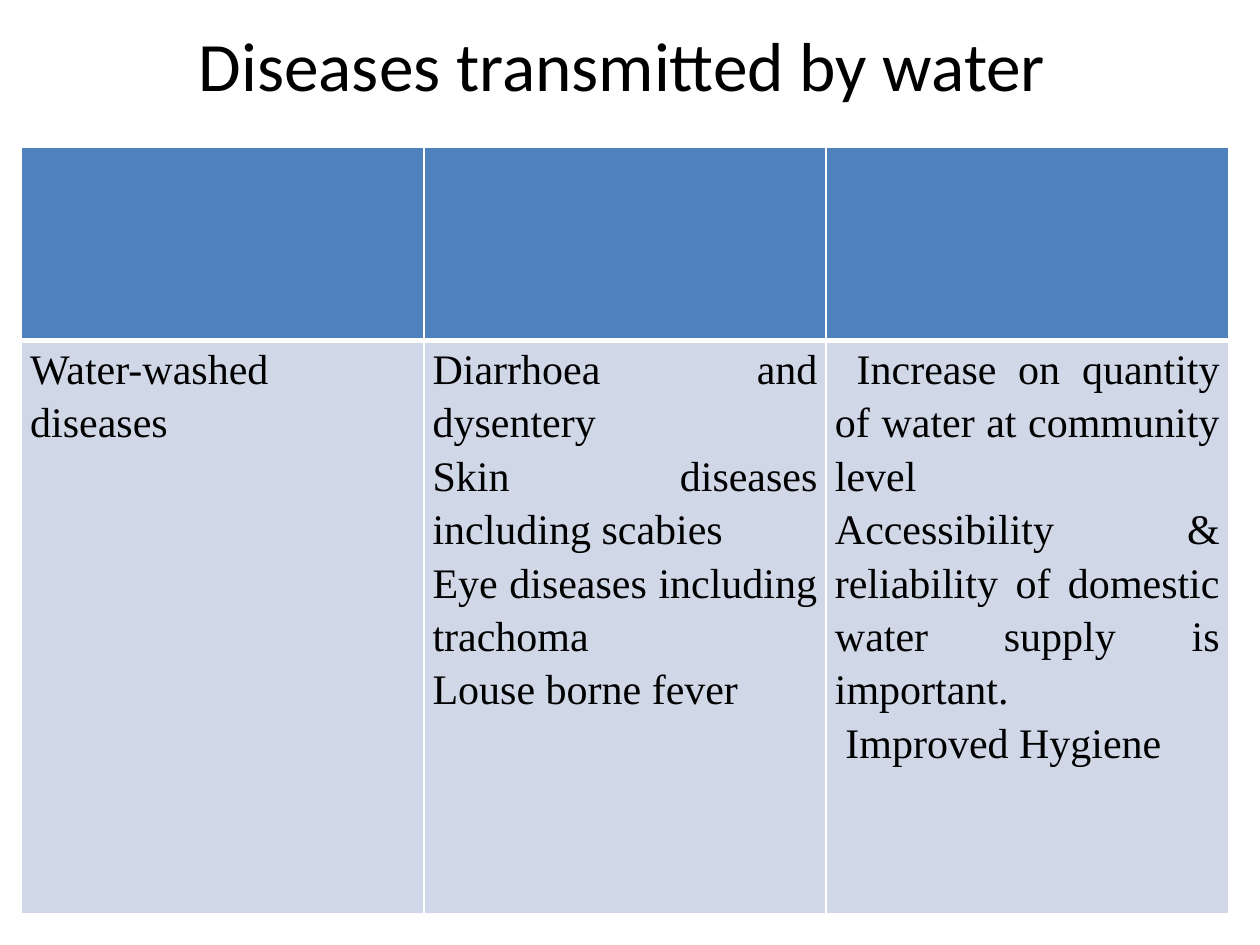
from lxml import etree
from pptx import Presentation
from pptx import util as u
from pptx.dml.color import RGBColor
from pptx.enum import text
from pptx.oxml import ns

HEADER_FILL, BODY_FILL, RULE, INK = "4F81BD", "D0D8E8", "FFFFFF", "000000"
ROW_HEIGHTS = (1.53, 4.55)
DISEASE_GROUP = (
    ["Water-washed diseases"],
    [
        "Diarrhoea and dysentery",
        "Skin diseases including scabies",
        "Eye diseases including trachoma",
        "Louse borne fever",
    ],
    [
        " Increase on quantity of water at community level",
        "Accessibility & reliability of domestic water supply is important.",
        " Improved Hygiene",
    ],
)


def color(hex_value):
    return RGBColor.from_string(hex_value)


def set_font(paragraph, name, size):
    paragraph.font.name = name
    paragraph.font.size = u.Pt(size)
    paragraph.font.color.rgb = color(INK)


def add_title(slide, wording):
    title = slide.shapes.title
    title.left, title.top = u.Inches(0.5), u.Inches(0.17)
    title.width, title.height = u.Inches(9), u.Inches(0.67)
    title.text_frame.text = wording
    title.text_frame.vertical_anchor = text.MSO_ANCHOR.MIDDLE
    heading = title.text_frame.paragraphs[0]
    heading.alignment = text.PP_ALIGN.CENTER
    set_font(heading, "Calibri", 39.6)


def style_cell(cell, fill, bottom_width, top_width):
    cell.fill.solid()
    cell.fill.fore_color.rgb = color(fill)
    properties = cell._tc.get_or_add_tcPr()
    widths = {"lnL": 1, "lnR": 1, "lnT": top_width, "lnB": bottom_width}
    for index, (side, width) in enumerate(widths.items()):
        line = etree.Element(ns.qn(f"a:{side}"), w=str(u.Pt(width)))
        solid = etree.SubElement(line, ns.qn("a:solidFill"))
        etree.SubElement(solid, ns.qn("a:srgbClr"), val=RULE)
        properties.insert(index, line)


def write_cell(cell, lines):
    cell.margin_left = cell.margin_right = u.Inches(0.07)
    cell.margin_top = cell.margin_bottom = 0
    cell.text_frame.text = "\n".join(lines)
    for paragraph in cell.text_frame.paragraphs:
        paragraph.alignment = text.PP_ALIGN.JUSTIFY
        paragraph.line_spacing = 1.15
        set_font(paragraph, "Times New Roman", 24)


def add_disease_table(slide):
    diseases = slide.shapes.add_table(
        len(ROW_HEIGHTS), len(DISEASE_GROUP),
        u.Inches(0.17), u.Inches(1.17),
        u.Inches(9.58), u.Inches(sum(ROW_HEIGHTS)),
    ).table
    for row, height in zip(diseases.rows, ROW_HEIGHTS):
        row.height = u.Inches(height)
    for column, lines in enumerate(DISEASE_GROUP):
        style_cell(diseases.cell(0, column), HEADER_FILL, 3, 1)
        style_cell(diseases.cell(1, column), BODY_FILL, 1, 3)
        write_cell(diseases.cell(1, column), lines)


def main():
    deck = Presentation()
    deck.slide_width, deck.slide_height = u.Inches(10), u.Inches(7.5)
    slide = deck.slides.add_slide(deck.slide_layouts[5])
    add_title(slide, "Diseases transmitted by water ")
    add_disease_table(slide)
    deck.save("out.pptx")


if __name__ == "__main__":
    main()
